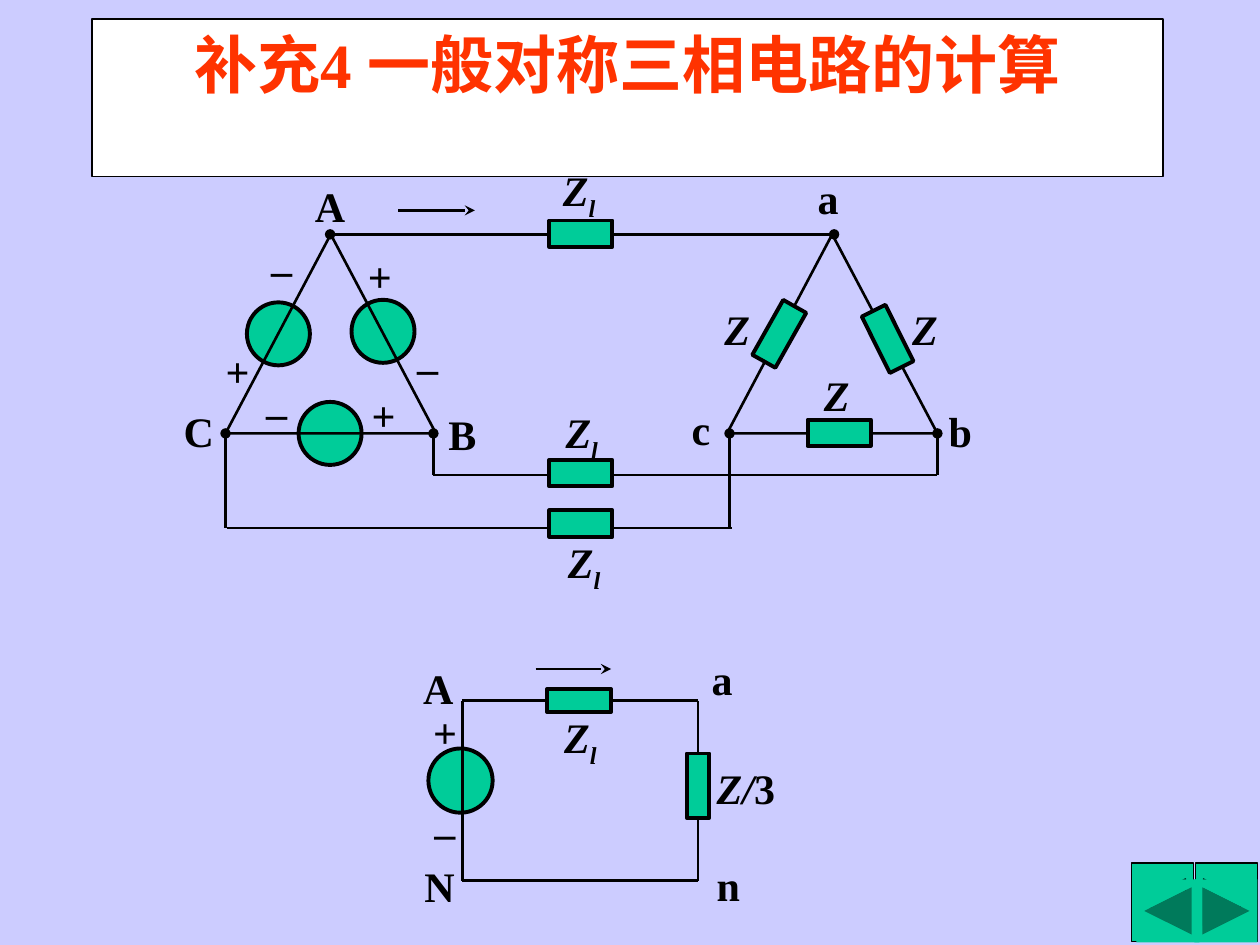
from dataclasses import dataclass
from typing import Any, Optional

from lxml.etree import SubElement
from pptx import Presentation
from pptx.dml.color import RGBColor
from pptx.enum.shapes import MSO_CONNECTOR, MSO_SHAPE
from pptx.enum.text import MSO_ANCHOR, MSO_AUTO_SIZE, PP_ALIGN
from pptx.oxml.ns import qn
from pptx.util import Emu, Pt

EMU_PER_PX = 9144
COLORS = {
    "background": "CCCCFF",
    "component": "00CC99",
    "ink": "000000",
    "panel": "FFFFFF",
    "title": "FF3300",
}
LABEL_FONT = {"name": "Times New Roman", "size": Pt(24), "bold": True}
TITLE_FONT = {"name": "Times New Roman", "size": Pt(36), "bold": True}
LABEL_FRAME = {"auto_size": MSO_AUTO_SIZE.SHAPE_TO_FIT_TEXT}
SIGN_FRAME = {**LABEL_FRAME, "vertical_anchor": MSO_ANCHOR.MIDDLE}
TITLE_FRAME = {
    "auto_size": MSO_AUTO_SIZE.NONE,
    "vertical_anchor": MSO_ANCHOR.TOP,
    "word_wrap": True,
}


@dataclass(frozen=True)
class Part:
    kind: MSO_SHAPE
    left: int
    top: int
    width: int
    height: int
    rotation: float = 0
    fill: Optional[str] = "component"
    weight: float = 2.25


@dataclass(frozen=True)
class Wire:
    x1: int
    y1: int
    x2: int
    y2: int
    head: Optional[str] = None
    tail: Optional[str] = None
    start: Optional[tuple[str, int]] = None
    end: Optional[tuple[str, int]] = None


@dataclass(frozen=True)
class Label:
    text: str
    left: int
    top: int
    width: int
    wrap: bool = True
    italic: bool = False
    subscript: str = ""
    upright: str = ""
    sign: bool = False


def px(value: int) -> Emu:
    return Emu(value * EMU_PER_PX)


def color(name: str) -> RGBColor:
    return RGBColor.from_string(COLORS[name])


def apply(target: Any, values: dict[str, Any]) -> None:
    for name, value in values.items():
        setattr(target, name, value)


def paint(shape: Any, fill: Optional[str], weight: float) -> None:
    if fill:
        shape.fill.solid()
        shape.fill.fore_color.rgb = color(fill)
    else:
        shape.fill.background()
    if weight:
        shape.line.color.rgb = color("ink")
        shape.line.width = Pt(weight)
    else:
        shape.line.fill.background()


def draw_part(shapes: Any, part: Part) -> Any:
    shape = shapes.add_shape(
        part.kind, px(part.left), px(part.top), px(part.width), px(part.height)
    )
    shape.shadow.inherit = False
    shape.rotation = part.rotation
    paint(shape, part.fill, part.weight)
    return shape


def draw_wire(shapes: Any, wire: Wire, drawn: dict[str, Any]) -> None:
    connector = shapes.add_connector(
        MSO_CONNECTOR.STRAIGHT, px(wire.x1), px(wire.y1), px(wire.x2), px(wire.y2)
    )
    if wire.start:
        connector.begin_connect(drawn[wire.start[0]], wire.start[1])
    if wire.end:
        connector.end_connect(drawn[wire.end[0]], wire.end[1])
    connector.line.color.rgb = color("ink")
    connector.line.width = Pt(1.5)
    outline = connector.line._get_or_add_ln()
    for tag, style in (("a:headEnd", wire.head), ("a:tailEnd", wire.tail)):
        if style:
            SubElement(outline, qn(tag)).set("type", style)
    SubElement(connector._element.spPr, qn("a:effectLst"))


def draw_label(shapes: Any, label: Label) -> None:
    box = shapes.add_textbox(px(label.left), px(label.top), px(label.width), px(50))
    frame = box.text_frame
    apply(frame, SIGN_FRAME if label.sign else LABEL_FRAME)
    frame.word_wrap = label.wrap
    paragraph = frame.paragraphs[0]
    if label.sign:
        paragraph.alignment = PP_ALIGN.CENTER
    for text, italic, offset in (
        (label.text, label.italic, None),
        (label.subscript, label.italic, "-25000"),
        (label.upright, False, None),
    ):
        if text:
            run = paragraph.add_run()
            run.text = text
            apply(run.font, {**LABEL_FONT, "italic": italic})
            run.font.color.rgb = color("ink")
            if offset:
                run._r.get_or_add_rPr().set("baseline", offset)


def draw_circuit(
    slide: Any, parts: dict[str, Part], wires: list[Wire], labels: list[Label]
) -> None:
    shapes = slide.shapes.add_group_shape().shapes
    drawn = {name: draw_part(shapes, part) for name, part in parts.items()}
    for wire in wires:
        draw_wire(shapes, wire, drawn)
    for label in labels:
        draw_label(shapes, label)


OVAL, RECT, TRIANGLE = MSO_SHAPE.OVAL, MSO_SHAPE.RECTANGLE, MSO_SHAPE.ISOSCELES_TRIANGLE
BACK, NEXT = MSO_SHAPE.ACTION_BUTTON_BACK_OR_PREVIOUS, MSO_SHAPE.ACTION_BUTTON_FORWARD_OR_NEXT

BUTTONS = [
    Part(BACK, 898, 685, 49, 62, weight=0.75),
    Part(NEXT, 949, 685, 49, 62, weight=0.75),
    Part(BACK, 902, 698, 50, 50, weight=0),
    Part(NEXT, 948, 698, 50, 50, weight=0),
]
DELTA_SOURCES = {
    f"source {x}": Part(OVAL, x, y, 50, 50) for x, y in ((279, 238), (237, 319), (196, 240))
}
DELTAS = {f"delta {x}": Part(TRIANGLE, x, 186, 167, 158, fill=None, weight=1.5) for x in (179, 577)}
DELTA_WIRES = [
    Wire(262, 186, 662, 186, "oval", "oval"),
    Wire(344, 344, 344, 377, "oval"),
    Wire(744, 344, 744, 377, "oval"),
    Wire(344, 377, 744, 377),
    Wire(579, 344, 579, 419, "oval"),
    Wire(179, 344, 179, 419, "oval"),
    Wire(180, 419, 581, 419),
    Wire(316, 167, 377, 167, tail="stealth"),
]
IMPEDANCES = {
    f"impedance {x} {y}": Part(RECT, x, y, 50, 21)
    for x, y in ((436, 175), (436, 365), (436, 405), (641, 333))
} | {
    "impedance ab": Part(RECT, 694, 244, 21, 50, 333.5),
    "impedance ca": Part(RECT, 608, 240, 21, 50, 29.4),
}
DELTA_LABELS = [
    *(Label("+", x, y, 39, wrap=False, sign=True) for x, y in ((169, 269), (285, 304), (282, 194))),
    *(Label("_", x, y, 37, sign=True) for x, y in ((201, 291), (321, 255), (205, 177))),
    Label("A", 240, 138, 44, wrap=False),
    Label("C", 136, 317, 44, wrap=False),
    Label("B", 346, 319, 42, wrap=False),
    *(Label(name, x, y, 53) for name, x, y in (("a", 639, 132), ("b", 743, 317), ("c", 539, 315))),
    *(Label("Z", x, y, 40, wrap=False, italic=True) for x, y in ((644, 288), (714, 236), (565, 236))),
    *(
        Label("Z", x, y, 47, wrap=False, italic=True, subscript="l")
        for x, y in ((437, 126), (439, 318), (441, 421))
    ),
]
PHASE_PARTS = {
    "load": Part(RECT, 545, 598, 18, 51),
    "source": Part(OVAL, 340, 594, 51, 51),
    "line": Part(RECT, 434, 547, 51, 18),
}
PHASE_WIRES = [
    Wire(367, 556, 367, 699),
    Wire(554, 556, 554, 598, end=("load", 0)),
    Wire(554, 649, 554, 699, start=("load", 2)),
    Wire(367, 699, 554, 699),
    Wire(367, 556, 434, 556, end=("line", 1)),
    Wire(485, 556, 554, 556, start=("line", 3)),
    Wire(425, 531, 485, 531, tail="stealth"),
]
PHASE_LABELS = [
    *(
        Label(text, x, y, 44)
        for text, x, y in (
            ("+", 334, 556), ("–", 335, 635), ("A", 326, 521),
            ("N", 327, 678), ("n", 559, 677), ("a", 555, 514),
        )
    ),
    Label("Z/", 559, 600, 70, italic=True, upright="3"),
    Label("Z", 438, 560, 70, italic=True, subscript="l"),
]


def main() -> None:
    presentation = Presentation()
    apply(presentation, {"slide_width": px(1000), "slide_height": px(750)})
    slide = presentation.slides.add_slide(presentation.slide_layouts[5])
    slide.background.fill.solid()
    slide.background.fill.fore_color.rgb = color("background")

    heading = slide.shapes.title
    apply(heading, {"left": px(73), "top": px(15), "width": px(850), "height": px(125)})
    paint(heading, "panel", 0.75)
    apply(heading.text_frame, TITLE_FRAME)
    paragraph = heading.text_frame.paragraphs[0]
    paragraph.alignment = PP_ALIGN.CENTER
    run = paragraph.add_run()
    run.text = "补充4 一般对称三相电路的计算"
    apply(run.font, TITLE_FONT)
    run.font.color.rgb = color("title")

    for button in BUTTONS:
        draw_part(slide.shapes, button)
    draw_circuit(slide, DELTA_SOURCES | DELTAS, DELTA_WIRES, [])
    draw_circuit(slide, IMPEDANCES, [], DELTA_LABELS)
    draw_circuit(slide, PHASE_PARTS, PHASE_WIRES, PHASE_LABELS)
    presentation.save("out.pptx")


if __name__ == "__main__":
    main()
